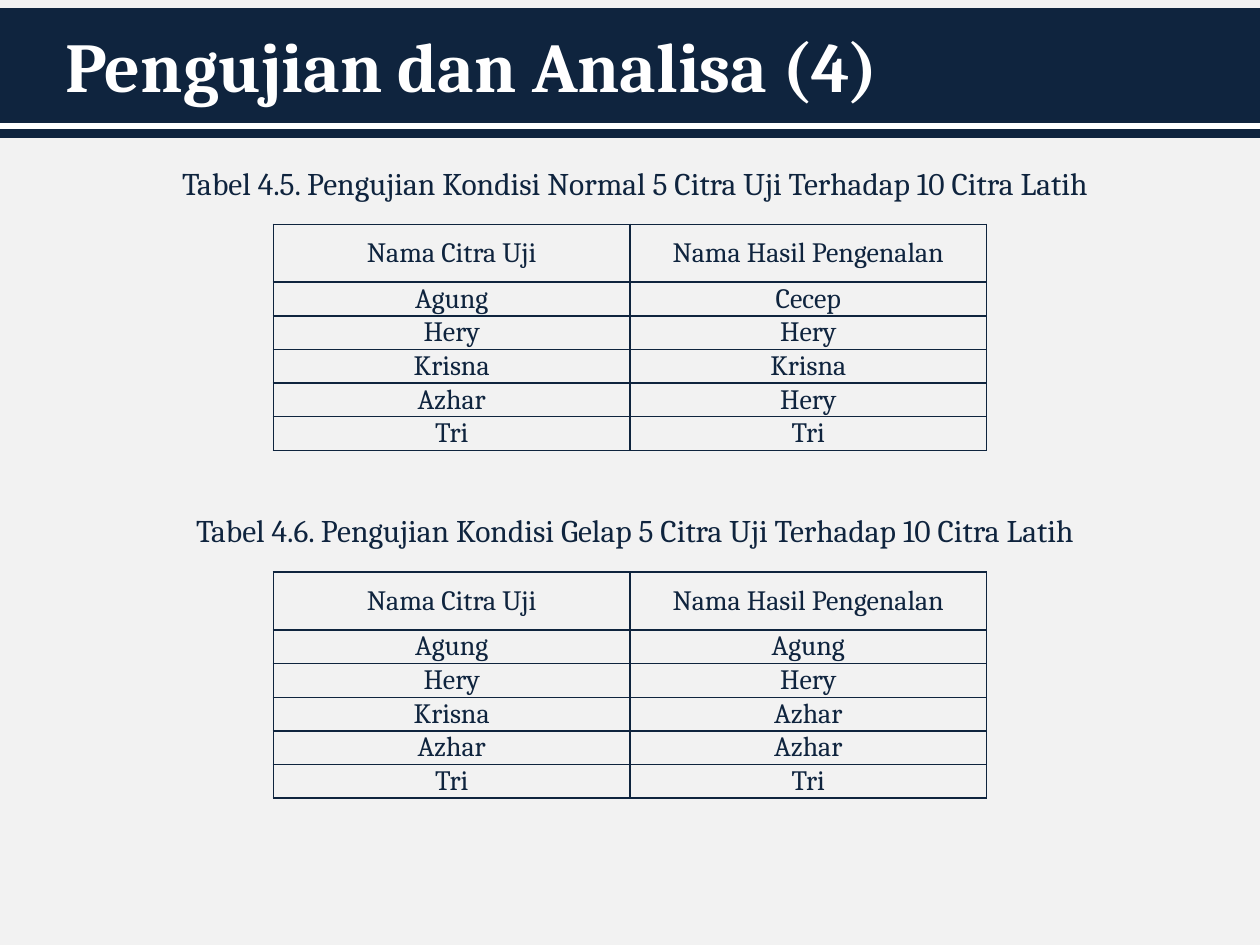
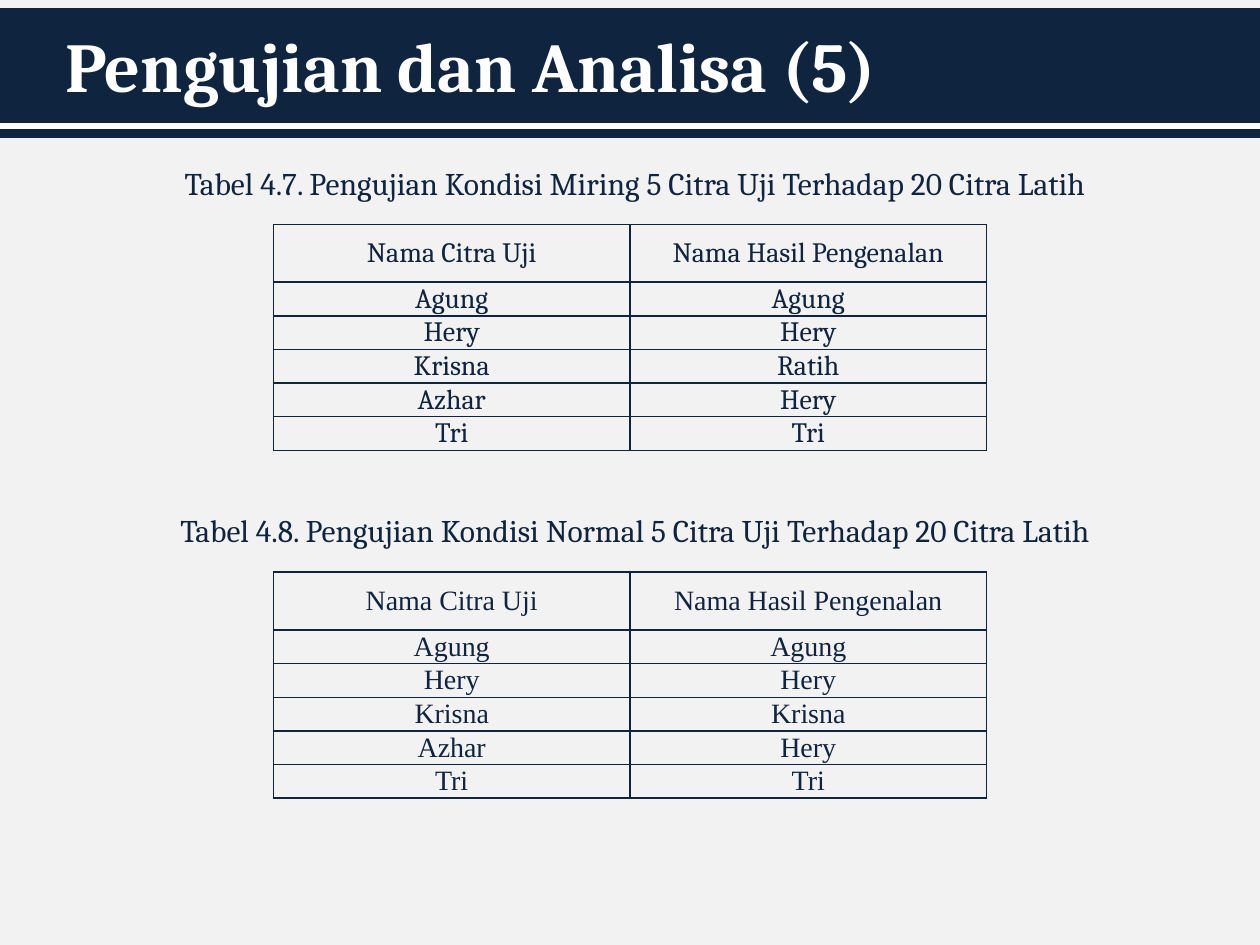
from lxml.etree import SubElement
from pptx import Presentation
from pptx.dml.color import RGBColor
from pptx.enum.shapes import MSO_CONNECTOR, MSO_SHAPE
from pptx.enum.text import MSO_ANCHOR, MSO_AUTO_SIZE, PP_ALIGN
from pptx.oxml.ns import qn
from pptx.util import Pt

# Shared style
NAVY = RGBColor(0x0F, 0x24, 0x3E)
WHITE = RGBColor(0xFF, 0xFF, 0xFF)
PAPER = RGBColor(0xF2, 0xF2, 0xF2)
SERIF, TIMES = "Cambria", "Times New Roman"
SLIDE_W, SLIDE_H = 720, 540

# Each caption and its table form a section; sections repeat downwards
FIRST_SECTION, SECTION_STEP = 90, 198.72
TABLE_OFFSET = 38.16
TABLE_LEFT, COLUMN_W = 156.24, 203.76
HEADER_H, ROW_H = 33.12, 14.4

HEADINGS = ("Nama Citra Uji", "Nama Hasil Pengenalan")
TESTED = ("Agung", "Hery", "Krisna", "Azhar", "Tri")


class Deck:
    def __init__(self):
        self.prs = Presentation()
        self.prs.slide_width, self.prs.slide_height = Pt(SLIDE_W), Pt(SLIDE_H)
        self.slide = None

    def new_slide(self, title):
        self.slide = self.prs.slides.add_slide(self.prs.slide_layouts[6])
        background = self.slide.background.fill
        background.solid()
        background.fore_color.rgb = PAPER
        self.title_band()
        heading = self.text(title, 30.24, 0, 648, 74.16, 40, WHITE)
        heading.vertical_anchor = MSO_ANCHOR.MIDDLE
        heading.paragraphs[0].font.bold = True

    def title_band(self):
        band = self.slide.shapes.add_shape(
            MSO_SHAPE.RECTANGLE, 0, Pt(5.76), Pt(SLIDE_W), Pt(72))
        band.shadow.inherit = False
        band.fill.solid()
        band.fill.fore_color.rgb = NAVY
        band.line.color.rgb = NAVY
        band.line.width = Pt(2)
        stripe = self.slide.shapes.add_connector(
            MSO_CONNECTOR.STRAIGHT, 0, Pt(72), Pt(SLIDE_W), Pt(72))
        stripe.line.color.rgb = WHITE
        stripe.line.width = Pt(4)
        SubElement(stripe._element.spPr, qn("a:effectLst"))

    def set_font(self, paragraph, size, color, face=SERIF):
        font = paragraph.font
        font.name, font.size, font.color.rgb = face, Pt(size), color

    def text(self, words, left, top, width, height, size, color):
        box = self.slide.shapes.add_textbox(Pt(left), Pt(top), Pt(width), Pt(height))
        frame = box.text_frame
        frame.word_wrap = True
        frame.text = words
        self.set_font(frame.paragraphs[0], size, color)
        return frame

    def caption(self, words, top):
        frame = self.text(words, 72, top, 581.76, 28.8, 18, NAVY)
        frame.auto_size = MSO_AUTO_SIZE.SHAPE_TO_FIT_TEXT
        frame.paragraphs[0].alignment = PP_ALIGN.CENTER

    def table(self, rows, top, face):
        table = self.slide.shapes.add_table(
            len(rows), len(HEADINGS), Pt(TABLE_LEFT), Pt(top),
            Pt(COLUMN_W * len(HEADINGS)),
            Pt(HEADER_H + ROW_H * (len(rows) - 1))).table
        table.first_row = table.horz_banding = False
        for index, names in enumerate(rows):
            table.rows[index].height = Pt(ROW_H if index else HEADER_H)
            for cell, name in zip(table.rows[index].cells, names):
                self.cell(cell, name, face)

    def cell(self, cell, name, face):
        cell.text = name
        cell.vertical_anchor = MSO_ANCHOR.MIDDLE
        cell.margin_left = cell.margin_right = Pt(5.04)
        cell.margin_top = cell.margin_bottom = 0
        paragraph = cell.text_frame.paragraphs[0]
        paragraph.alignment = PP_ALIGN.CENTER
        paragraph.space_before = Pt(6)
        self.set_font(paragraph, 16, NAVY, face)
        # Borders come before the fill in the cell properties
        properties = cell._tc.get_or_add_tcPr()
        for side in ("lnL", "lnR", "lnT", "lnB"):
            border = SubElement(properties, qn(f"a:{side}"), w=str(Pt(1)))
            fill = SubElement(border, qn("a:solidFill"))
            SubElement(fill, qn("a:srgbClr"), val=str(NAVY))
        cell.fill.background()


# Content: title, then caption, recognised names and table font per section
SLIDES = [
    ("Pengujian dan Analisa (4)", [
        ("Tabel 4.5. Pengujian Kondisi Normal 5 Citra Uji Terhadap 10 Citra Latih",
         ("Cecep", "Hery", "Krisna", "Hery", "Tri"), SERIF),
        ("Tabel 4.6. Pengujian Kondisi Gelap 5 Citra Uji Terhadap 10 Citra Latih",
         ("Agung", "Hery", "Azhar", "Azhar", "Tri"), SERIF),
    ]),
    ("Pengujian dan Analisa (5)", [
        ("Tabel 4.7. Pengujian Kondisi Miring 5 Citra Uji Terhadap 20 Citra Latih",
         ("Agung", "Hery", "Ratih", "Hery", "Tri"), SERIF),
        ("Tabel 4.8. Pengujian Kondisi Normal 5 Citra Uji Terhadap 20 Citra Latih",
         ("Agung", "Hery", "Krisna", "Hery", "Tri"), TIMES),
    ]),
]

deck = Deck()
for title, sections in SLIDES:
    deck.new_slide(title)
    for position, (caption, recognised, face) in enumerate(sections):
        top = FIRST_SECTION + position * SECTION_STEP
        deck.table([HEADINGS, *zip(TESTED, recognised)], top + TABLE_OFFSET, face)
        deck.caption(caption, top)

deck.prs.save("out.pptx")
